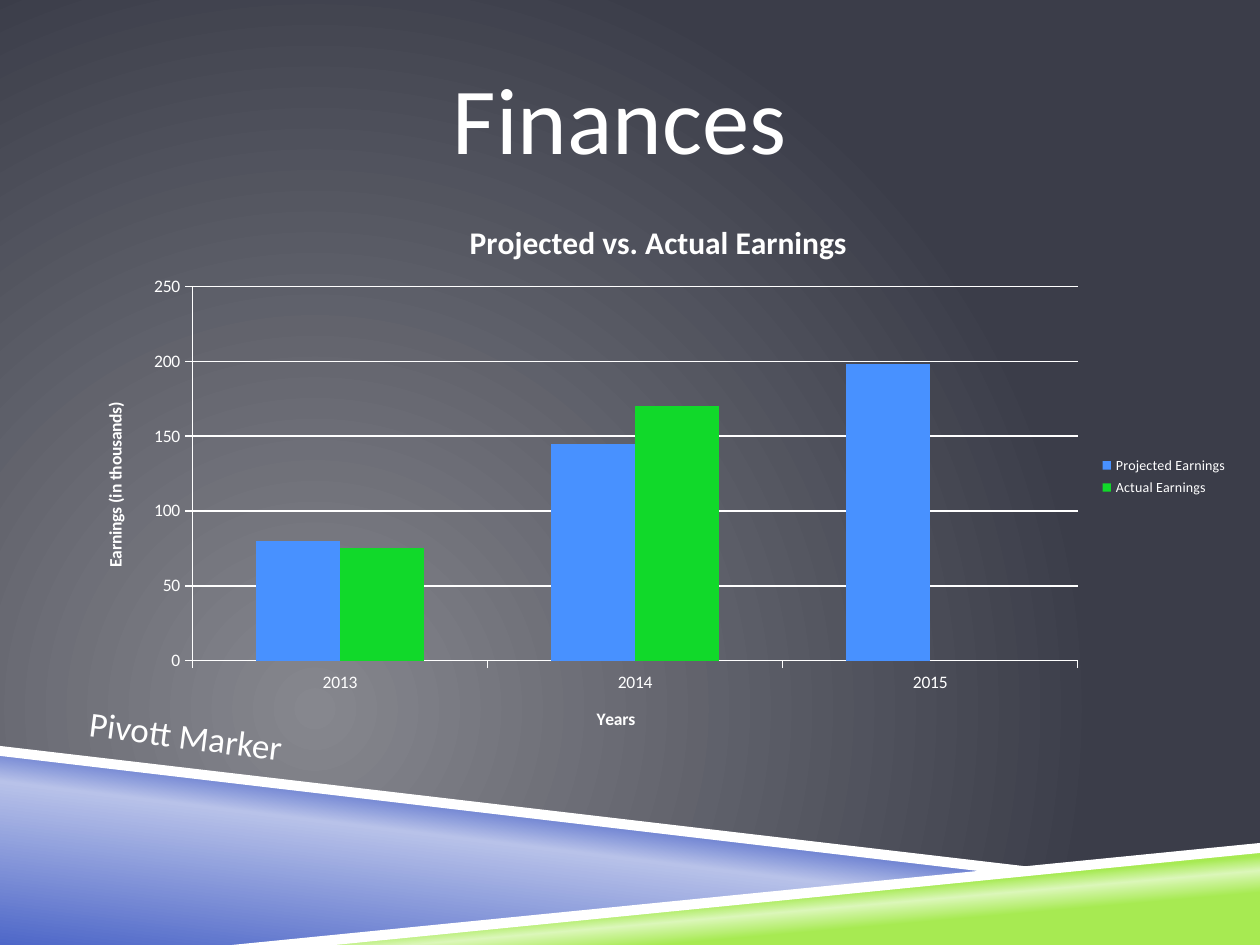
from lxml import etree
from pptx import Presentation
from pptx.chart.data import CategoryChartData
from pptx.dml.color import RGBColor
from pptx.enum.chart import XL_CHART_TYPE as ChartType, XL_LEGEND_POSITION as LegendPos, XL_TICK_MARK as Tick
from pptx.enum.text import MSO_ANCHOR as Anchor, PP_ALIGN as Align
from pptx.oxml import parse_xml
from pptx.oxml.ns import nsdecls, qn
from pptx.util import Emu, Pt

FONT = "Calibri"
WHITE, BLUE, LIME = "FFFFFF", "4E67C8", "A7EA52"


def px(n):
    return Emu(round(n * 914400 / 126))


def color(value):
    return RGBColor.from_string(value)


def style(font, size, **extra):
    font.color.rgb = color(WHITE)
    for key, value in {"name": FONT, "size": Pt(size), **extra}.items():
        setattr(font, key, value)


def set_gradient(props, stops, shade):
    """Replace the solid fill in props by stops of (percent, hex)."""
    marks = "".join(f'<a:gs pos="{pos * 1000}"><a:srgbClr val="{value}"/></a:gs>' for pos, value in stops)
    grad = parse_xml(f'<a:gradFill {nsdecls("a")} rotWithShape="1"><a:gsLst>{marks}</a:gsLst>{shade}</a:gradFill>')
    props.replace(props.find(qn("a:solidFill")), grad)


def add_background(s):
    s.background.fill.solid()
    shade = '<a:path path="circle"><a:fillToRect l="50000" t="100000" r="100000" b="50000"/></a:path>'
    set_gradient(s.element.xpath(".//p:bgPr")[0], [(0, "86878E"), (100, "3B3D49")], shade)


def add_band(s, points, fill=WHITE, stops=None, angle=0):
    builder = s.shapes.build_freeform(*points[0], scale=px(1000) / 1000)
    builder.add_line_segments(points[1:], close=True)
    sp = builder.convert_to_shape()
    sp.shadow.inherit = False
    sp.line.fill.background()
    sp.fill.solid()
    sp.fill.fore_color.rgb = color(fill)
    if stops:
        set_gradient(sp.element.spPr, stops, f'<a:lin ang="{angle * 60000}" scaled="0"/>')


def add_footer_bands(s, width, height):
    add_band(s, [(0, 752), (998, 872), (252, height), (0, height)],
             stops=[(0, BLUE), (52, "B8C2E9"), (66, BLUE)], angle=277)
    add_band(s, [(249, height), (width, 847), (width, height)],
             stops=[(28, LIME), (40, "DCF7BA"), (48, LIME)], angle=265)
    add_band(s, [(0, 746), (0, 756), (995, 873), (1048, 869)])
    add_band(s, [(width, 843), (232, height), (335, height), (width, 853)])


def add_label(s, box, text, size, rotation=0, **frame):
    sp = s.shapes.add_textbox(*map(px, box))
    sp.rotation = rotation
    tf = sp.text_frame
    for key, value in {"word_wrap": True, **frame}.items():
        setattr(tf, key, value)
    p = tf.paragraphs[0]
    p.alignment = Align.CENTER
    r = p.add_run()
    r.text = text
    style(r.font, size)


def set_title(owner, text, size):
    tf = owner.text_frame
    tf.text = text
    style(tf.paragraphs[0].runs[0].font, size, bold=True)


def set_plot_area(chart, **parts):
    """Fix the inner plot area by fractions of the chart."""
    area = chart._chartSpace.chart.plotArea
    for old in area.findall(qn("c:layout")):
        area.remove(old)
    layout = etree.Element(qn("c:layout"))
    manual = etree.SubElement(layout, qn("c:manualLayout"))
    values = {"layoutTarget": "inner", "xMode": "edge", "yMode": "edge", **parts}
    for key, value in values.items():
        etree.SubElement(manual, qn(f"c:{key}")).set("val", str(value))
    area.insert(0, layout)


def add_earnings_chart(s, box):
    data = CategoryChartData()
    data.categories = ["2013", "2014", "2015"]
    data.add_series("Projected Earnings", (80, 145, 198))
    data.add_series("Actual Earnings", (75, 170, None))
    chart = s.shapes.add_chart(ChartType.COLUMN_CLUSTERED, *map(px, box), data).chart
    style(chart.font, 10)
    set_title(chart.chart_title, "Projected vs. Actual Earnings", 18)
    chart.chart_title.include_in_layout = False
    chart.has_legend = True
    chart.legend.position = LegendPos.RIGHT
    chart.legend.include_in_layout = False
    style(chart.legend.font, 8)

    plot = chart.plots[0]
    plot.gap_width, plot.overlap, plot.vary_by_categories = 150, 0, False
    for series, fill in zip(plot.series, ("4891FF", "11D92A")):
        series.invert_if_negative = False
        series.format.fill.solid()
        series.format.fill.fore_color.rgb = color(fill)

    years, earnings = chart.category_axis, chart.value_axis
    earnings.minimum_scale, earnings.maximum_scale, earnings.major_unit = 0, 250, 50
    earnings.has_major_gridlines = True
    for axis, text in ((years, "Years"), (earnings, "Earnings (in thousands)")):
        set_title(axis.axis_title, text, 10)
        axis.major_tick_mark = Tick.OUTSIDE
        axis.minor_tick_mark = Tick.NONE
        style(axis.tick_labels.font, 10)
    for part in (years, earnings, earnings.major_gridlines):
        part.format.line.color.rgb = color(WHITE)
        part.format.line.width = Pt(0.75)
    set_plot_area(chart, x=0.1, y=0.16, w=0.76, h=0.67)


def main():
    width, height = 1260, 945
    prs = Presentation()
    prs.slide_width, prs.slide_height = px(width), px(height)
    s = prs.slides.add_slide(prs.slide_layouts[6])
    add_background(s)
    add_footer_bands(s, width, height)
    add_label(s, (95, 38, 1071, 157), "Finances ", 54,
              vertical_anchor=Anchor.MIDDLE, margin_left=0, margin_right=0)
    add_earnings_chart(s, (76, 197, 1165, 559))
    add_label(s, (-95, 708, 562, 55), "Pivott Marker", 20, rotation=7.4)
    prs.save("out.pptx")


if __name__ == "__main__":
    main()
